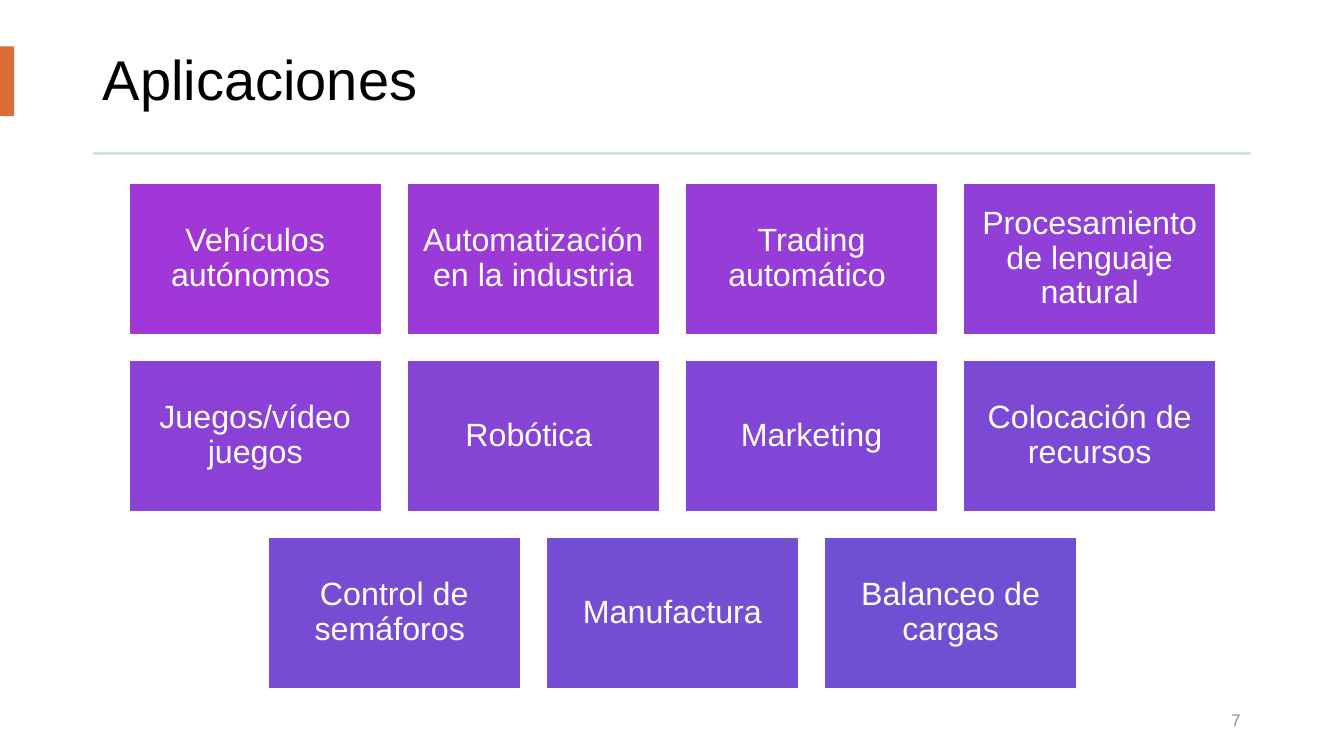
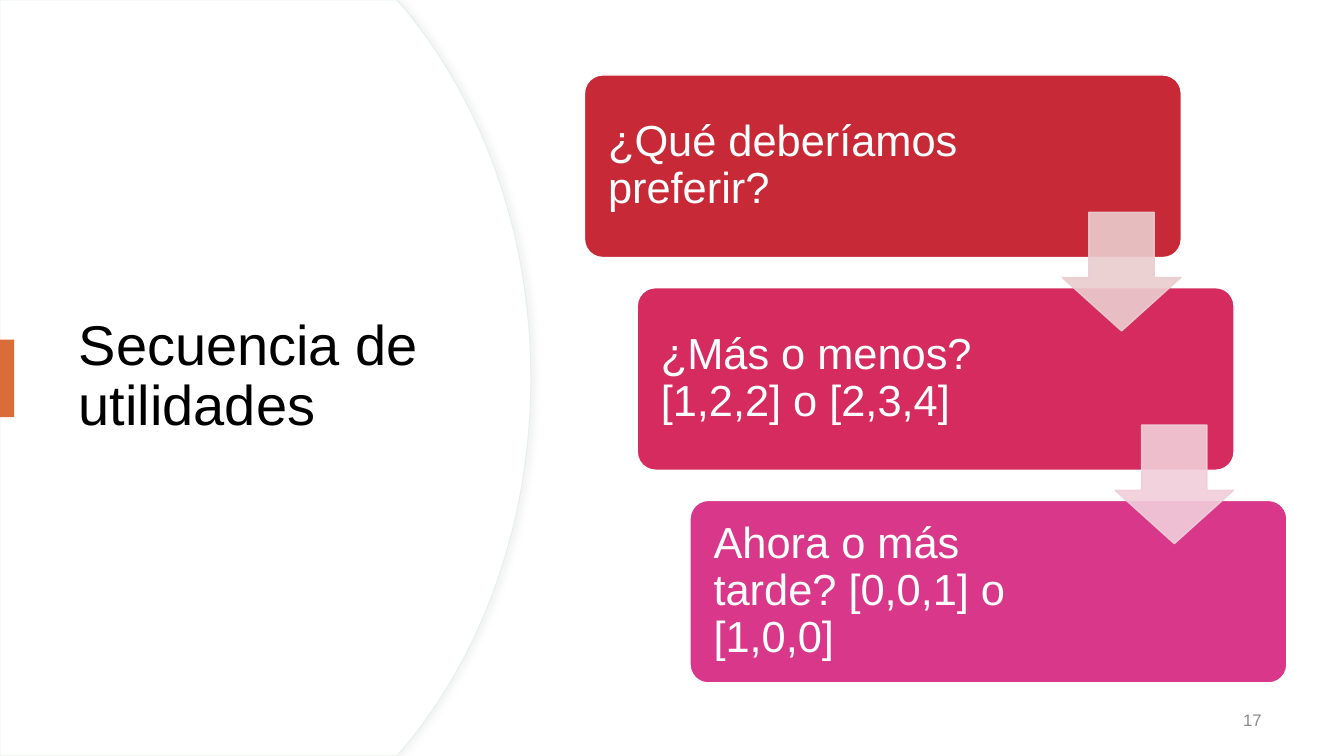
from lxml import etree
from pptx import Presentation
from pptx.dml.color import RGBColor
from pptx.enum.shapes import MSO_SHAPE as SHAPE
from pptx.enum.text import MSO_ANCHOR as ANCHOR, MSO_AUTO_SIZE as AUTO, PP_ALIGN as ALIGN
from pptx.oxml import parse_xml
from pptx.oxml.ns import nsdecls, qn
from pptx.util import Cm, Pt

COLORS = {
    "text": "000000", "white": "FFFFFF", "number": "8C8C8C",
    "accent": "D96C37", "rule": "BDDACD", "panel_line": "E5F0EB", "shadow": "D9D9D9",
}
TITLE = {"size": Pt(40), "color": "text", "align": ALIGN.LEFT}
NUMBER = {"size": Pt(12), "color": "number", "align": ALIGN.RIGHT}
TILE = {"size": Pt(23), "color": "white", "align": ALIGN.CENTER}
STEP = {"size": Pt(31), "color": "white", "align": ALIGN.LEFT}

TILE_ROWS = [
    [("Vehículos autónomos ", "A237D9"), ("Automatización en la industria", "9C3AD8"),
     ("Trading automático ", "963CD7"), ("Procesamiento de lenguaje natural", "903FD7")],
    [("Juegos/vídeo juegos", "8B41D6"), ("Robótica ", "8644D5"),
     ("Marketing", "8146D5"), ("Colocación de recursos", "7C49D4")],
    [("Control de semáforos ", "784BD3"), ("Manufactura", "744ED3"),
     ("Balanceo de cargas", "7050D2")],
]
STEPS = [
    ("¿Qué deberíamos preferir?", "C82937"),
    ("¿Más o menos? [1,2,2] o [2,3,4]", "D52B5E"),
    ("Ahora o más tarde? [0,0,1] o [1,0,0]", "D93789"),
]
ARROW_COLORS = ["EBCDCE", "F1CEDA"]


def rgb(name):
    """Colour from a key of COLORS or from a hex string."""
    return RGBColor.from_string(COLORS.get(name, name))


def write(sp, text, style, insets=None):
    tf = sp.text_frame
    frame = {"word_wrap": True, "auto_size": AUTO.NONE, "vertical_anchor": ANCHOR.MIDDLE}
    for name, value in {**frame, **(insets or {})}.items():
        setattr(tf, name, value)
    p = tf.paragraphs[0]
    p.alignment, p.line_spacing = style["align"], 0.9
    r = p.add_run()
    r.text = text
    for name, value in {"name": "Arial", "size": style["size"], "bold": False}.items():
        setattr(r.font, name, value)
    r.font.color.rgb = rgb(style["color"])


def paint(sp, fill, line=None, width=1):
    sp.shadow.inherit = False
    sp.fill.solid()
    sp.fill.fore_color.rgb = rgb(fill)
    if line:
        sp.line.color.rgb = rgb(line)
        sp.line.width = Pt(width)
    else:
        sp.line.fill.background()


def add_shape(slide, kind, box, fill, line=None, adjustments=()):
    """Add a preset shape; box is left, top, width, height in cm."""
    sp = slide.shapes.add_shape(kind, *map(Cm, box))
    for i, value in enumerate(adjustments):
        sp.adjustments[i] = value
    paint(sp, fill, line)
    return sp


def add_base_slide(prs, title, title_box, accent_top, accent_height, number, number_box):
    slide = prs.slides.add_slide(prs.slide_layouts[5])
    sp = slide.shapes.title
    for name, value in zip(("left", "top", "width", "height"), title_box):
        setattr(sp, name, Cm(value))
    write(sp, title, TITLE)
    add_shape(slide, SHAPE.RECTANGLE, (0, accent_top, 0.36, accent_height), "accent")
    write(slide.shapes.add_textbox(*map(Cm, number_box)), number, NUMBER)
    return slide


def add_tiles(slide, rows, left=3.25, top=4.61, width=6.37, height=3.82, gap=0.64):
    """Lay out rows of tiles, centring the shorter ones."""
    pitch = width + gap
    longest = max(map(len, rows))
    insets = dict.fromkeys(
        ("margin_left", "margin_top", "margin_right", "margin_bottom"), Cm(0.25))
    for i, row in enumerate(rows):
        start = left + (longest - len(row)) * pitch / 2
        for j, (text, color) in enumerate(row):
            box = (start + j * pitch, top + i * (height + gap), width, height)
            write(add_shape(slide, SHAPE.RECTANGLE, box, color, "white"), text, TILE, insets)


def add_staircase(slide, left=14.73, top=1.89, dx=1.33, dy=5.36):
    insets = {"margin_left": Cm(0.46), "margin_right": Cm(4.8)}
    for i, (text, color) in enumerate(STEPS):
        box = (left + i * dx, top + i * dy, 15.04, 4.6)
        sp = add_shape(slide, SHAPE.ROUNDED_RECTANGLE, box, color, "white", [0.1])
        write(sp, text, STEP, insets)
    for i, color in enumerate(ARROW_COLORS):
        box = (left + 12.04 + i * dx, top + 3.46 + i * dy, 2.99, 2.99)
        sp = add_shape(slide, SHAPE.DOWN_ARROW, box, color, color, [0.55, 0.45])
        for clr in sp.element.spPr.iter(qn("a:srgbClr")):
            etree.SubElement(clr, qn("a:alpha"), val="90000")


def bezier(points, steps=24):
    """Points along a cubic curve."""
    for k in range(steps + 1):
        t = k / steps
        weights = ((1 - t) ** 3, 3 * t * (1 - t) ** 2, 3 * t ** 2 * (1 - t), t ** 3)
        yield tuple(sum(w * pt[axis] for w, pt in zip(weights, points)) for axis in (0, 1))


def add_curved_panel(slide, height=19.05):
    """Add the white panel with a bulging right edge, behind the title."""
    upper = [(10, 0), *bezier([(10.18, 0.2), (12.17, 2.59), (13.38, 5.89), (13.38, height / 2)])]
    lower = [(x, height - y) for x, y in reversed(upper[:-1])]
    fb = slide.shapes.build_freeform(0, 0)
    fb.add_line_segments([(Cm(x), Cm(y)) for x, y in upper + lower + [(0, height)]])
    sp = fb.convert_to_shape()
    paint(sp, "white", "panel_line", 0.75)
    sp.element.spPr.find(qn("a:effectLst")).append(parse_xml(
        f'<a:outerShdw {nsdecls("a")} blurRad="{Pt(4)}" dist="{Pt(3)}" dir="0">'
        f'<a:srgbClr val="{COLORS["shadow"]}"><a:alpha val="30000"/></a:srgbClr></a:outerShdw>'))
    slide.shapes.title.element.addprevious(sp.element)


def add_applications(prs):
    slide = add_base_slide(prs, "Aplicaciones", (2.34, 0.69, 29.18, 2.79), 1.17, 1.76,
                           "7", (24.61, 17.65, 6.91, 1.02))
    add_shape(slide, SHAPE.RECTANGLE, (2.34, 3.84, 29.18, 0.05), "rule")
    add_tiles(slide, TILE_ROWS)


def add_utilities(prs):
    slide = add_base_slide(prs, "Secuencia de utilidades", (1.73, 3.23, 10, 12.57), 8.56, 1.95,
                           "17", (24.43, 17.65, 7.62, 1.02))
    add_curved_panel(slide)
    add_staircase(slide)


def main():
    prs = Presentation()
    prs.slide_width, prs.slide_height = Cm(33.87), Cm(19.05)
    add_applications(prs)
    add_utilities(prs)
    prs.save("out.pptx")


if __name__ == "__main__":
    main()
